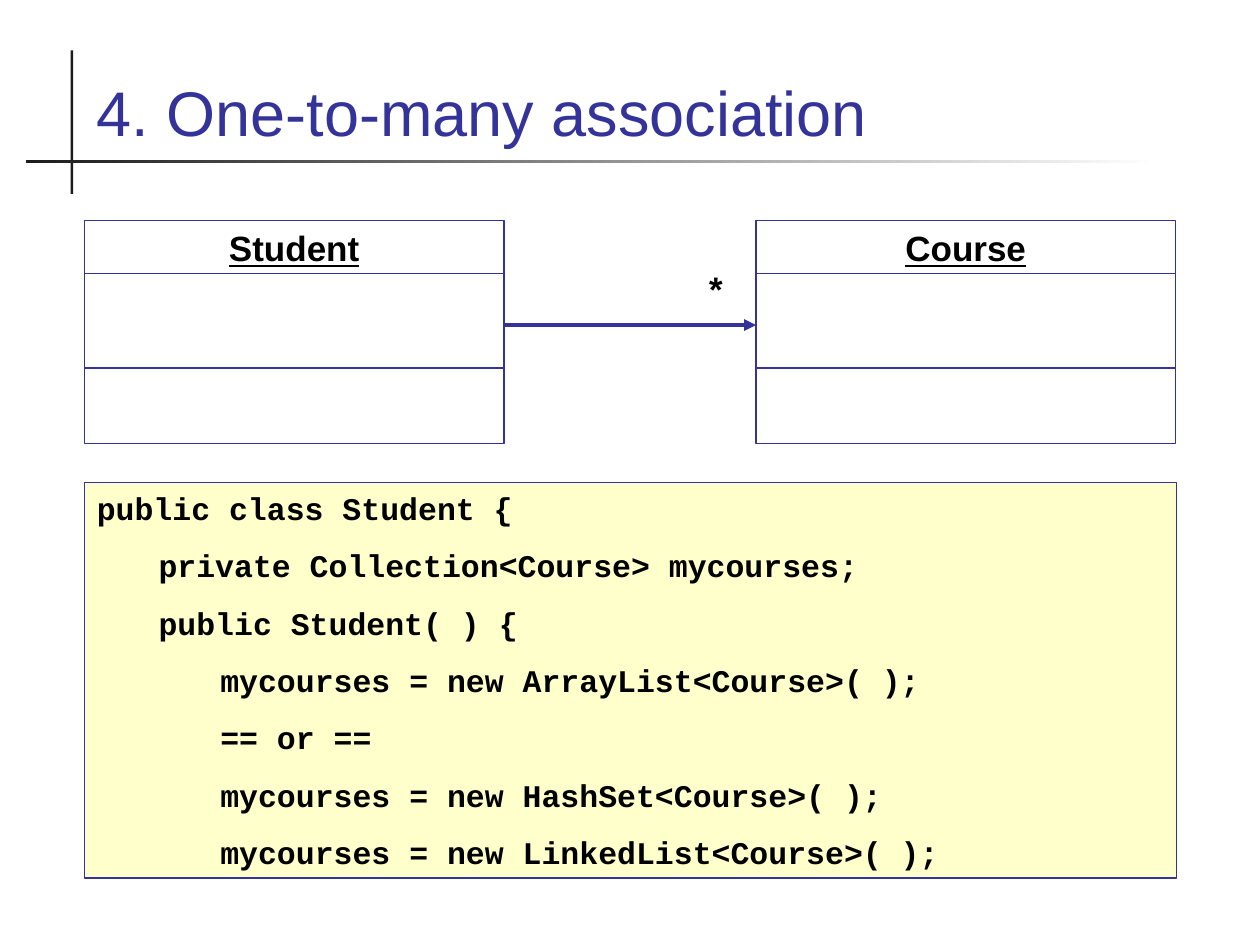
from dataclasses import dataclass

from lxml import etree
from pptx import Presentation
from pptx import util as u
from pptx.dml.color import RGBColor
from pptx.enum import shapes, text
from pptx.oxml import ns


@dataclass(frozen=True)
class Theme:
    blue: RGBColor = RGBColor.from_string("333399")
    black: RGBColor = RGBColor.from_string("000000")
    rule: RGBColor = RGBColor.from_string("1C1C1C")
    white: RGBColor = RGBColor.from_string("FFFFFF")
    code_fill: RGBColor = RGBColor.from_string("FFFFCC")
    sans: str = "Arial"
    mono: str = "Courier New"
    title: float = 36
    label: float = 20
    code: float = 18
    code_gap: float = 11.2
    thin: float = 0.75
    thick: float = 2.25


T = Theme()
TAB = 0.49

CODE = [
    "public class Student {",
    "\tprivate Collection<Course> mycourses;",
    "\tpublic Student( ) {",
    "\t\tmycourses = new ArrayList<Course>( );",
    "\t\t== or ==",
    "\t\tmycourses = new HashSet<Course>( );",
    "\t\tmycourses = new LinkedList<Course>( );",
]


def add_box(s, x, y, w, h, fill=None, line=None):
    sp = s.shapes.add_shape(shapes.MSO_SHAPE.RECTANGLE,
                            u.Inches(x), u.Inches(y), u.Inches(w), u.Inches(h))
    sp.shadow.inherit = False
    if fill is None:
        sp.fill.background()
    else:
        sp.fill.solid()
        sp.fill.fore_color.rgb = fill
    if line is None:
        sp.line.fill.background()
    else:
        sp.line.color.rgb = line
        sp.line.width = u.Pt(T.thin)
    return sp


def add_line(s, x1, y1, x2, y2, width, arrow=False):
    c = s.shapes.add_connector(shapes.MSO_CONNECTOR.STRAIGHT,
                               u.Inches(x1), u.Inches(y1), u.Inches(x2), u.Inches(y2))
    c.line.color.rgb = T.blue
    c.line.width = u.Pt(width)
    if arrow:
        ln = c._element.spPr.find(ns.qn("a:ln"))
        etree.SubElement(ln, ns.qn("a:tailEnd"), type="triangle")
    etree.SubElement(c._element.spPr, ns.qn("a:effectLst"))


def add_tabs(p, count):
    tabs = etree.SubElement(p._p.get_or_add_pPr(), ns.qn("a:tabLst"))
    for i in range(1, count + 1):
        etree.SubElement(tabs, ns.qn("a:tab"), pos=str(u.Inches(TAB * i)), algn="l")


def write(sp, lines, font, size, color, bold=True, underline=False,
          align=text.PP_ALIGN.LEFT, anchor=text.MSO_ANCHOR.TOP, wrap=True, gap=0):
    tf = sp.text_frame
    tf.word_wrap = wrap
    tf.vertical_anchor = anchor
    for i, line in enumerate(lines):
        p = tf.add_paragraph() if i else tf.paragraphs[0]
        p.text = line
        p.alignment = align
        if i:
            p.space_before = u.Pt(gap)
        if "\t" in line:
            add_tabs(p, 2)
        for r in p.runs:
            r.font.name, r.font.size = font, u.Pt(size)
            r.font.bold, r.font.underline = bold, underline
            r.font.color.rgb = color


def add_text(s, x, y, w, h, line, font, size, color, **style):
    sp = s.shapes.add_textbox(u.Inches(x), u.Inches(y), u.Inches(w), u.Inches(h))
    write(sp, [line], font, size, color, **style)


def add_title(s, title):
    # Crossed rules, the horizontal one fading to the right
    add_box(s, 0.56, 0.4, 0.02, 1.14, fill=T.rule)
    fill = add_box(s, 0.21, 1.27, 8.99, 0.02).fill
    fill.gradient()
    fill.gradient_angle = 180
    for stop, color in zip(fill.gradient_stops, (T.white, T.rule)):
        stop.color.rgb = color
    add_text(s, 0.67, 0.28, 8.66, 0.95, title, T.sans, T.title, T.blue,
             bold=False, anchor=text.MSO_ANCHOR.BOTTOM)


def add_class(s, x, name):
    y, w, h = 1.75, 3.33, 1.77
    sp = add_box(s, x, y, w, h, line=T.blue)
    write(sp, [name], T.sans, T.label, T.black, underline=True,
          align=text.PP_ALIGN.CENTER)
    for divider in (2.17, 2.92):
        add_line(s, x, divider, x + w, divider, T.thin)


def main():
    prs = Presentation()
    prs.slide_width, prs.slide_height = u.Inches(10), u.Inches(7.5)
    s = prs.slides.add_slide(prs.slide_layouts[6])

    add_title(s, "4. One-to-many association")

    # Class diagram
    add_class(s, 0.67, "Student")
    add_class(s, 6, "Course")
    add_line(s, 4, 2.58, 6, 2.58, T.thick, arrow=True)
    add_text(s, 5.5, 2.08, 0.36, 0.44, "*", T.mono, T.label, T.black, wrap=False)

    # Code panel
    panel = add_box(s, 0.67, 3.83, 8.67, 3.14, fill=T.code_fill, line=T.blue)
    write(panel, CODE, T.mono, T.code, T.black, gap=T.code_gap)

    prs.save("out.pptx")


if __name__ == "__main__":
    main()
